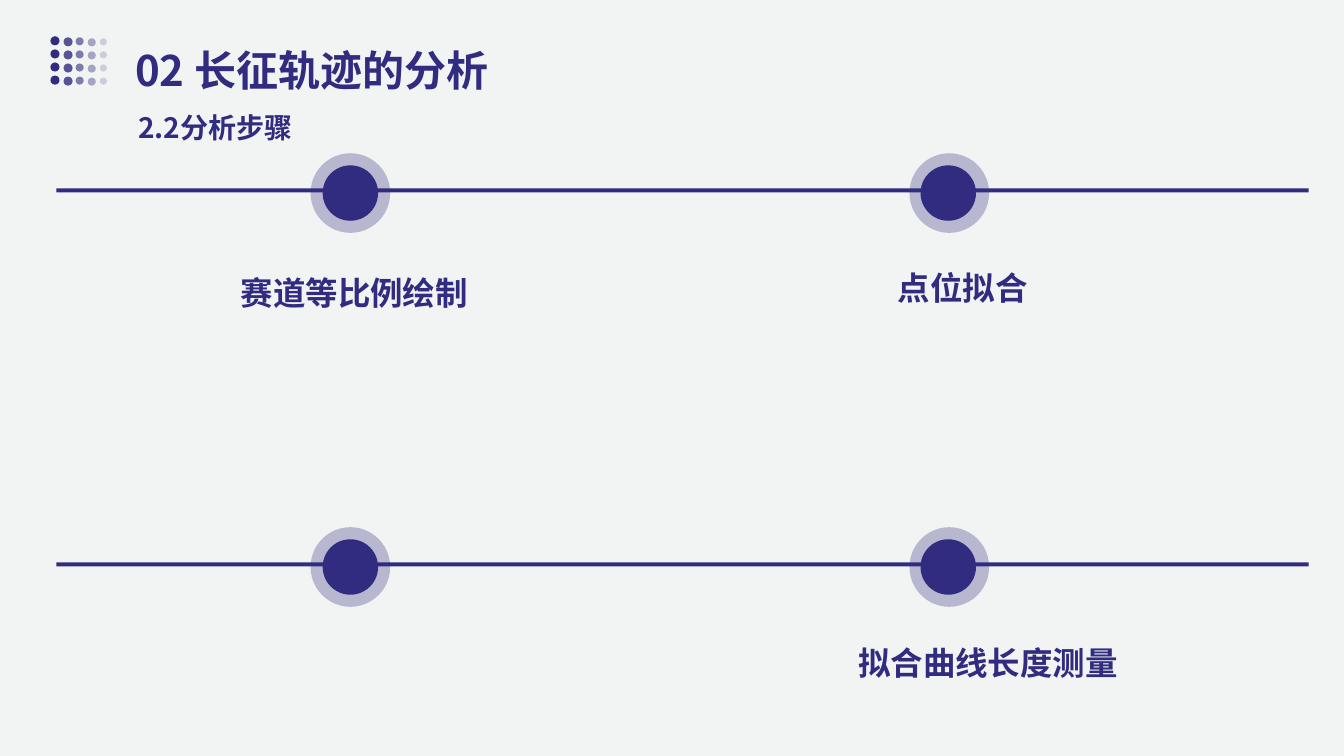
"""Build the slide on the analysis steps, with two timelines of milestones."""
from dataclasses import dataclass

from lxml.etree import SubElement
from pptx import Presentation
from pptx.dml.color import RGBColor
from pptx.enum.shapes import MSO_SHAPE as Shape
from pptx.enum.text import MSO_ANCHOR as Anchor, PP_ALIGN as Align
from pptx.oxml.ns import qn
from pptx.util import Pt

PX = 9144


@dataclass(frozen=True)
class Theme:
    ink: RGBColor = RGBColor(0x31, 0x2C, 0x7F)
    paper: RGBColor = RGBColor(0xF2, 0xF4, 0xF4)
    font: str = "Noto Sans CJK SC"
    title: float = 30
    subtitle: float = 20
    label: float = 23.2


theme = Theme()


def add_mark(shapes, kind, left, top, width, height, opacity=100):
    mark = shapes.add_shape(kind, left * PX, top * PX, width * PX, height * PX)
    mark.shadow.inherit = False
    mark.line.fill.background()
    mark.fill.solid()
    mark.fill.fore_color.rgb = theme.ink
    if opacity < 100:
        color = mark.fill._xPr.find(".//" + qn("a:srgbClr"))
        SubElement(color, qn("a:alpha"), val=str(opacity * 1000))


def write(box, text, *, size, spacing, align=Align.LEFT, insets=(14, 14, 6, 14)):
    frame = box.text_frame
    frame.word_wrap = True
    frame.vertical_anchor = Anchor.MIDDLE
    frame.margin_left, frame.margin_top, frame.margin_right, frame.margin_bottom = (
        inset * PX for inset in insets)
    paragraph = frame.paragraphs[0]
    paragraph.alignment = align
    paragraph.line_spacing = spacing
    paragraph.space_before = Pt(0)
    run = paragraph.add_run()
    run.text = text
    run.font.size = Pt(size)
    run.font.bold = True
    run.font.color.rgb = theme.ink
    run.font.name = theme.font
    SubElement(run.font._element, qn("a:ea"), typeface=theme.font)


deck = Presentation()
deck.slide_width, deck.slide_height = 1333 * PX, 750 * PX
slide = deck.slides.add_slide(deck.slide_layouts[5])
slide.background.fill.solid()
slide.background.fill.fore_color.rgb = theme.paper

heading = slide.shapes.title
heading.left, heading.top, heading.width, heading.height = (
    120 * PX, 10 * PX, 1094 * PX, 98 * PX)
write(heading, "02 长征轨迹的分析", size=theme.title, spacing=1.4)

subheading = slide.shapes.add_textbox(123 * PX, 83 * PX, 1094 * PX, 74 * PX)
write(subheading, "2.2分析步骤", size=theme.subtitle, spacing=1.4)

dot_columns = [(50, 36, 9, 100), (63, 37, 9, 80), (75, 37, 8, 60),
               (87, 38, 8, 40), (99, 38, 7, 20)]
dot_grid = slide.shapes.add_group_shape()
for row in range(4):
    for left, top, size, opacity in dot_columns:
        add_mark(dot_grid.shapes, Shape.OVAL, left, top + 13 * row, size, size, opacity)

for timeline_top in (187, 558):
    add_mark(slide.shapes, Shape.RECTANGLE, 56, timeline_top, 1242, 4)
    for halo_left, core_left in ((308, 320), (902, 913)):
        add_mark(slide.shapes, Shape.OVAL, halo_left, timeline_top - 35, 79, 79, 30)
        add_mark(slide.shapes, Shape.OVAL, core_left, timeline_top - 23, 55, 55)

default_insets = (10, 5, 10, 5)
steps = [
    ("赛道等比例绘制", 123, 249, 449, 74, (14, 14, 6, 14)),
    ("点位拟合", 733, 253, 444, 57, default_insets),
    ("拟合曲线长度测量", 758, 625, 444, 57, default_insets),
]
for step, left, top, width, height, insets in steps:
    label = slide.shapes.add_textbox(left * PX, top * PX, width * PX, height * PX)
    write(label, step, size=theme.label, spacing=1.2, align=Align.CENTER, insets=insets)

deck.save("out.pptx")
